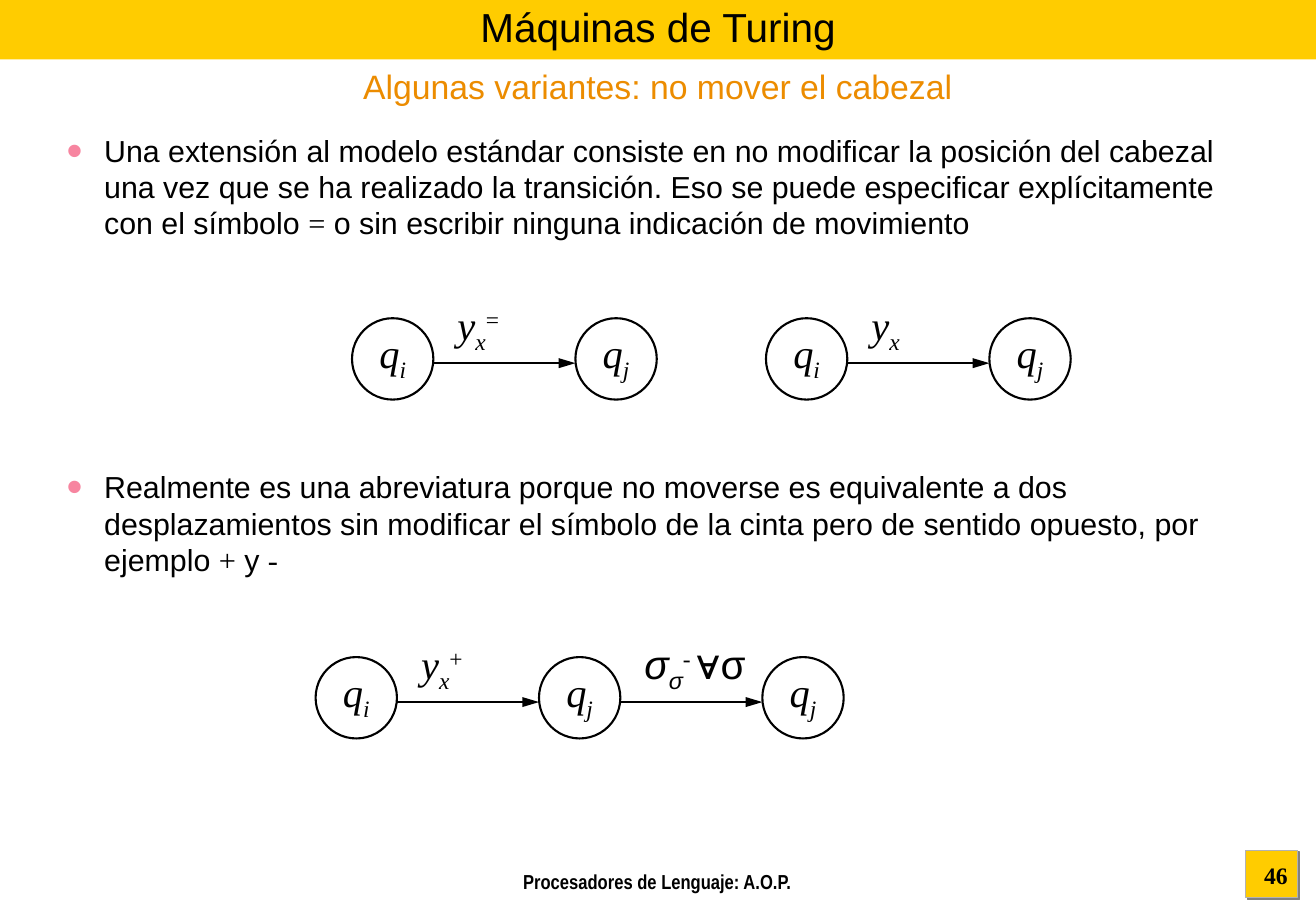
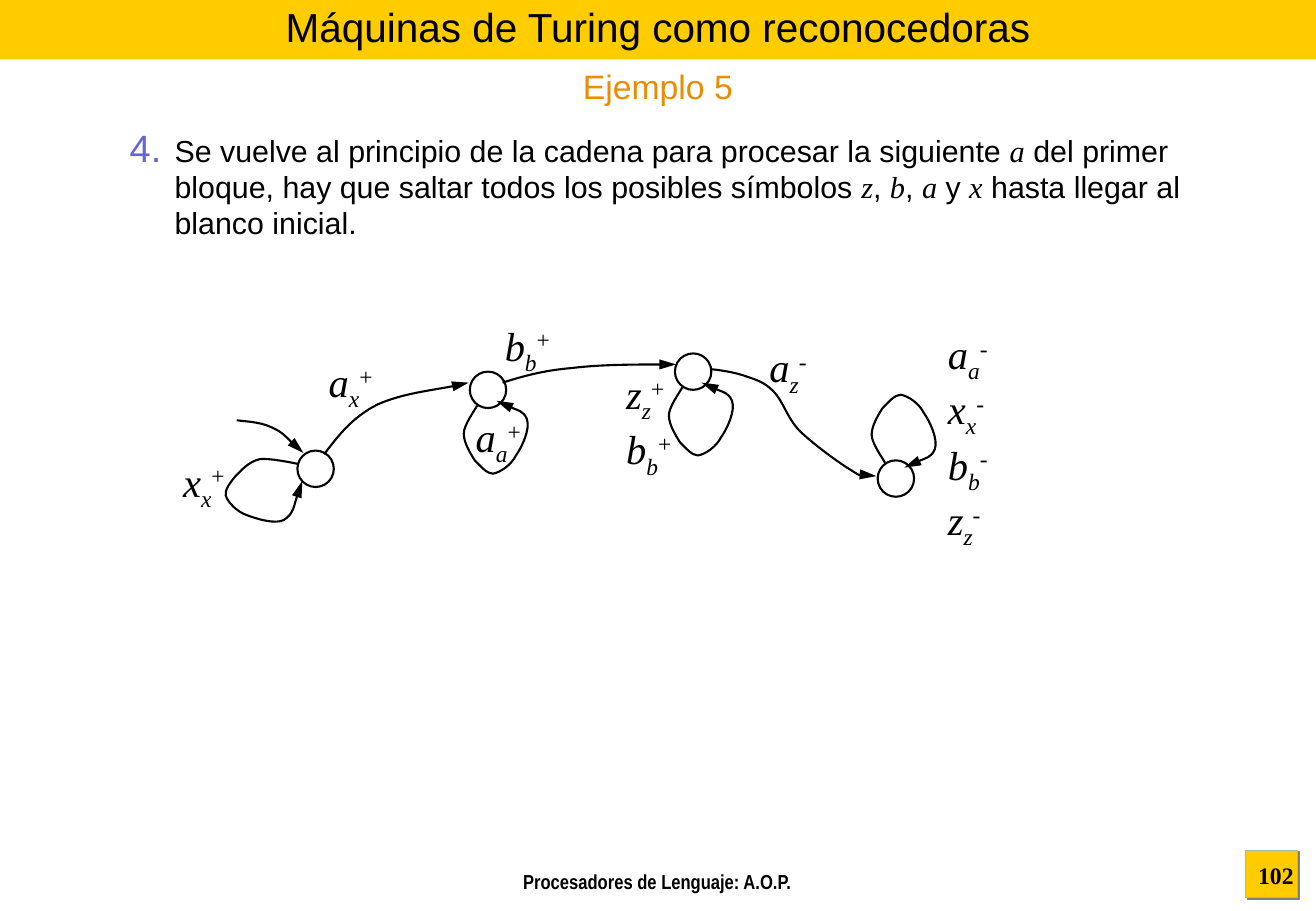
import lxml.etree
import pptx
import pptx.dml.color
import pptx.enum.shapes
import pptx.enum.text
import pptx.oxml.ns
import pptx.util

WIDTH, HEIGHT = 108.4, 75
BLACK, WHITE, GOLD, ORANGE = "000000", "FFFFFF", "FFCC00", "EC8C00"
GREY, SHADE, PINK, VIOLET = "B2B2B2", "808080", "F785A0", "6565D9"
SANS, SERIF, NARROW = "Arial", "Times New Roman", "Arial Narrow"
STYLES = {
    "sans": (SANS, False, 0),
    "serif": (SERIF, False, 0),
    "math": (SERIF, True, 0),
    "sub": (SERIF, True, -25),
    "sup": (SERIF, False, 30),
    "greek": (SANS, True, 0),
    "greek sub": (SANS, True, -25),
}
SHAPES = pptx.enum.shapes.MSO_SHAPE
CENTER = pptx.enum.text.PP_ALIGN.CENTER
MIDDLE = pptx.enum.text.MSO_ANCHOR.MIDDLE
STATE, PITCH = 6.7, 18.4
LOOP = [(-0.9, 1.3), (-1.1, 1.7), (-2, 2.9), (-2, 3.6), (-2, 4.4), (-1.4, 5.3), (-1.1, 5.8),
        (-0.6, 6.3), (-0.1, 6.9), (0.4, 6.9), (1, 6.8), (1.9, 6.2), (2.3, 5.4),
        (2.8, 4.7), (3.5, 3.2), (3.2, 2.4), (2.9, 1.7), (1.2, 1.2), (0.7, 0.9)]


def grid(cells):
    """Return the length of a number of grid cells, ten to the inch."""
    return pptx.util.Inches(cells / 10)


def rgb(code):
    """Return the colour of a hex string."""
    return pptx.dml.color.RGBColor.from_string(code)


def add_xml(parent, tag, **attributes):
    """Append a drawing element and return it."""
    names = {name: str(value) for name, value in attributes.items()}
    return lxml.etree.SubElement(parent, pptx.oxml.ns.qn(tag), names)


def set_font(font, size, name=SANS, color=BLACK, bold=False, italic=False):
    """Format a font."""
    font.size, font.name = pptx.util.Pt(size), name
    font.bold, font.italic = bold, italic
    font.color.rgb = rgb(color)


def write(para, spans, size):
    """Fill a paragraph with (text, style) spans."""
    for text, style in spans:
        name, italic, baseline = STYLES[style]
        span = para.add_run()
        span.text = text
        set_font(span.font, size, name, italic=italic)
        if baseline:
            span.font._element.set("baseline", str(baseline * 1000))


def symbol(letters):
    """Return spans for a letter, its subscript and its superscript."""
    return list(zip(letters, ("math", "sub", "sup")))


def add_box(page, left, top, width, height):
    """Add a wrapping text box and return its frame."""
    frame = page.shapes.add_textbox(*map(grid, (left, top, width, height))).text_frame
    frame.word_wrap = True
    return frame


def add_line_of_text(page, place, text, size, **look):
    """Add a centred line of text."""
    para = add_box(page, *place).paragraphs[0]
    para.text, para.alignment = text, CENTER
    set_font(para.runs[0].font, size, **look)


def add_label(page, left, top, *lines):
    """Add transition symbols, one per line."""
    frame = add_box(page, left, top, 12, 5.6)
    for index, spans in enumerate(lines):
        para = frame.add_paragraph() if index else frame.paragraphs[0]
        write(para, spans, 24)


def add_shape(page, kind, place, fill=None, line=None, weight=1.25):
    """Add a flat preset shape."""
    shape = page.shapes.add_shape(kind, *map(grid, place))
    shape.shadow.inherit = False
    if fill:
        shape.fill.solid()
        shape.fill.fore_color.rgb = rgb(fill)
    else:
        shape.fill.background()
    if line:
        shape.line.color.rgb, shape.line.width = rgb(line), pptx.util.Pt(weight)
    else:
        shape.line.fill.background()
    return shape


def set_arrow(stroke):
    """Give a connector or curve a black line with an arrowhead."""
    stroke.line.color.rgb, stroke.line.width = rgb(BLACK), pptx.util.Pt(1.25)
    add_xml(stroke.line._get_or_add_ln(), "a:tailEnd", type="triangle", w="med", len="lg")


def add_arrow(page, start, end, row):
    """Add a horizontal arrow."""
    kind = pptx.enum.shapes.MSO_CONNECTOR.STRAIGHT
    arrow = page.shapes.add_connector(kind, grid(start), grid(row), grid(end), grid(row))
    set_arrow(arrow)
    add_xml(arrow.element.spPr, "a:effectLst")


def add_curve(page, points):
    """Add an arrow of cubic curves through a start and triples of points."""
    start, *rest = [(grid(column), grid(row)) for column, row in points]
    builder = page.shapes.build_freeform(*start)
    builder.add_line_segments(rest, close=False)
    curve = builder.convert_to_shape()
    curve.shadow.inherit = False
    curve.fill.background()
    set_arrow(curve)
    outline = curve.element.find(".//" + pptx.oxml.ns.qn("a:path"))
    segments = outline.findall(pptx.oxml.ns.qn("a:lnTo"))
    for first in range(0, len(segments), 3):
        bend = add_xml(outline, "a:cubicBezTo")
        for segment in segments[first:first + 3]:
            bend.append(segment[0])
            outline.remove(segment)


def add_loop(page, column, row, side=1):
    """Add a loop below a node, or above it when side is -1."""
    add_curve(page, [(column + across, row + side * down) for across, down in LOOP])


def add_state(page, left, top, index):
    """Add a circle that holds a state name."""
    frame = add_shape(page, SHAPES.OVAL, (left, top, STATE, STATE), line=BLACK).text_frame
    frame.margin_left = frame.margin_right = frame.margin_top = 0
    frame.margin_bottom = grid(0.5)
    frame.word_wrap, frame.vertical_anchor = True, MIDDLE
    frame.paragraphs[0].alignment = CENTER
    write(frame.paragraphs[0], symbol("q" + index), 24)


def add_chain(page, left, top, indexes, labels):
    """Add a row of states joined by labelled arrows."""
    for step, index in enumerate(indexes):
        add_state(page, left + step * PITCH, top, index)
    for step, spans in enumerate(labels):
        start = left + step * PITCH
        add_label(page, start + 7.7, top - 2, spans)
        add_arrow(page, start + STATE, start + PITCH, top + 3.7)


def add_items(page, items, indent, hang, color, percent, marker, gap=0, **details):
    """Add a list of paragraphs with coloured markers."""
    frame = add_box(page, 4.5, 10.4, 99.6, 18.6)
    for index, spans in enumerate(items):
        para = frame.add_paragraph() if index else frame.paragraphs[0]
        properties = para._p.get_or_add_pPr()
        properties.set("marL", str(grid(indent)))
        properties.set("indent", str(-grid(hang)))
        add_xml(add_xml(properties, "a:buClr"), "a:srgbClr", val=color)
        add_xml(properties, "a:buSzPct", val=percent * 1000)
        add_xml(properties, "a:buFont", typeface=SANS)
        add_xml(properties, marker, **details)
        para.line_spacing = pptx.util.Pt(21.5)
        if index:
            para.space_before = pptx.util.Pt(gap)
        write(para, spans, 18)


def decorate(page):
    """Put the title band and the number square on the layout of a page."""
    band = add_shape(page, SHAPES.RECTANGLE, (0, 0, WIDTH, 4.9), GOLD)
    square = add_shape(page, SHAPES.RECTANGLE, (102.6, 70, 4.3, 3.9), GOLD, GREY, 0.75)
    effects = square.element.spPr.find(pptx.oxml.ns.qn("a:effectLst"))
    shadow = add_xml(effects, "a:outerShdw", dist=pptx.util.Pt(1.4), dir=45 * 60000)
    add_xml(shadow, "a:srgbClr", val=SHADE)
    for shape in (square, band):
        page.slide_layout.shapes.element.insert(2, shape.element)


def add_page(deck, title, subtitle, number):
    """Add a page with its title, subtitle, footer and number."""
    page = deck.slides.add_slide(deck.slide_layouts[5])
    heading = page.shapes.title
    heading.left, heading.top, heading.width, heading.height = map(grid, (0, 0, WIDTH, 4.4))
    frame = heading.text_frame
    frame.text, frame.vertical_anchor = title, MIDDLE
    frame.paragraphs[0].alignment = CENTER
    set_font(frame.paragraphs[0].runs[0].font, 24)
    add_line_of_text(page, (0, 4.9, WIDTH, 4.4), subtitle, 20, color=ORANGE)
    add_line_of_text(page, (30.1, 71.1, 48.1, 3), "Procesadores de Lenguaje: A.O.P.", 12,
                     name=NARROW, bold=True)
    add_line_of_text(page, (102.4, 70.4, 5.4, 3.5), number, 14, name=SERIF, bold=True)
    return page


def draw_variants(page):
    """Draw the variant that leaves the head in place."""
    add_items(page, [
        [("Una extensión al modelo estándar consiste en no modificar la posición del cabezal "
          "una vez que se ha realizado la transición. Eso se puede especificar explícitamente "
          "con el símbolo ", "sans"), ("=", "serif"),
         (" o sin escribir ninguna indicación de movimiento", "sans")],
        [("Realmente es una abreviatura porque no moverse es equivalente a dos "
          "desplazamientos sin modificar el símbolo de la cinta pero de sentido opuesto, por "
          "ejemplo ", "sans"), ("+", "serif"), (" y ", "sans"), ("-", "serif")],
    ], 3.1, 3.1, PINK, 150, "a:buChar", gap=135, char="•")
    every = [("σ", "greek"), ("σ", "greek sub"), ("- ", "sup"), ("∀σ", "sans")]
    add_chain(page, 29, 26.2, "ij", [symbol("yx=")])
    add_chain(page, 63.1, 26.2, "ij", [symbol("yx")])
    add_chain(page, 26, 54.1, "ijj", [symbol("yx+"), every])


def draw_example(page):
    """Draw the automaton that returns to the start of the string."""
    spans = [("Se vuelve al principio de la cadena para procesar la siguiente ", "sans"),
             ("a", "math"),
             (" del primer bloque, hay que saltar todos los posibles símbolos ", "sans"),
             ("z", "math"), (", ", "sans"), ("b", "math"), (", ", "sans"), ("a", "math"),
             (" y ", "sans"), ("x", "math"), (" hasta llegar al blanco inicial.", "sans")]
    add_items(page, [spans], 8.9, 3.7, VIOLET, 125, "a:buAutoNum",
              type="arabicPeriod", startAt=4)
    nodes = [(26, 38.6), (40.2, 32.1), (57.1, 30.6), (73.8, 39.4)]
    for column, row in nodes:
        add_shape(page, SHAPES.OVAL, (column - 1.5, row - 1.5, 3, 3), WHITE, BLACK)
    for node, side in zip(nodes[1:], (1, 1, -1)):
        add_loop(page, *node, side)
    for points in (
        [(24.6, 38.2), (24.1, 38.1), (22.2, 37.7), (21.4, 37.8), (20.5, 38), (19.9, 38.7),
         (19.4, 39.2), (19, 39.7), (18.5, 40.3), (18.6, 40.8), (18.8, 41.4), (19.5, 42.1),
         (20.3, 42.4), (21.1, 42.7), (22.7, 43.2), (23.4, 42.8), (24.2, 42.3), (24.6, 40.2),
         (24.9, 39.6)],
        [(19.5, 34.6), (20, 34.7), (21.4, 34.7), (22.4, 35.2), (23.3, 35.6), (24.5, 36.9),
         (25, 37.3)],
        [(26.7, 37.4), (27.9, 35.8), (29.1, 34.3), (31.1, 33.3), (33.1, 32.4), (37.3, 31.9),
         (38.6, 31.5)],
        [(41.4, 31.5), (43, 31), (44.7, 30.5), (47.1, 30.3), (49.5, 30), (54.3, 30),
         (55.7, 30)],
        [(58.6, 30.4), (59.6, 30.5), (60.7, 30.7), (61.5, 31), (62.4, 31.3), (63, 31.5),
         (63.7, 32.2), (64.5, 33), (64.8, 34.3), (65.8, 35.4), (66.9, 36.5), (69.1, 38.1),
         (70.1, 38.7), (71.2, 39.4), (71.9, 39.1), (72.2, 39.2)],
    ):
        add_curve(page, points)
    for left, top, names in (
        (14.1, 37.1, ["xx+"]), (26.1, 28.9, ["ax+"]), (38.2, 33.4, ["aa+"]),
        (40.6, 25.9, ["bb+"]), (50.6, 29.9, ["zz+", "bb+"]), (62.4, 27.7, ["az-"]),
        (77.1, 26.6, ["aa-", "xx-", "bb-", "zz-"]),
    ):
        add_label(page, left, top, *map(symbol, names))


def main():
    """Build and save the deck."""
    deck = pptx.Presentation()
    deck.slide_width, deck.slide_height = grid(WIDTH), grid(HEIGHT)
    variants = add_page(deck, "Máquinas de Turing",
                        "Algunas variantes: no mover el cabezal", "46")
    decorate(variants)
    draw_variants(variants)
    draw_example(add_page(deck, "Máquinas de Turing como reconocedoras", "Ejemplo 5", "102"))
    deck.save("out.pptx")


if __name__ == "__main__":
    main()
